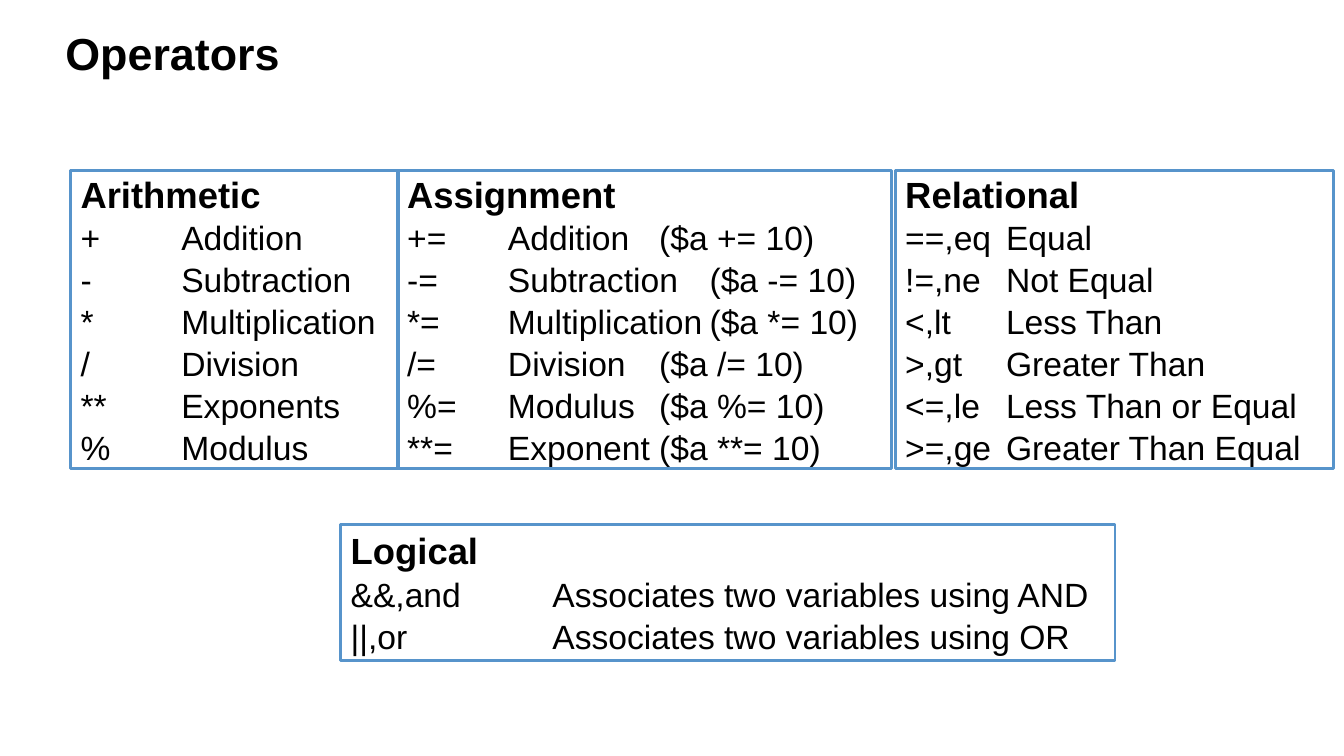
from dataclasses import dataclass

from lxml import etree
from pptx import Presentation, util as u
from pptx.dml import color
from pptx.enum import shapes, text
from pptx.oxml import ns

FONT = "Arial"
INK = "000000"
BORDER = "5794CB"
TITLE_SIZE, HEADING_SIZE, ITEM_SIZE = 32, 26, 24
TAB_STOPS = (1, 2)  # inches from the text edge

# Places and sizes are percentages of the slide's width and height
UPPER_TOP, UPPER_HEIGHT = 22.53, 39.47
UPPER_LEFT = 5.25


@dataclass
class Panel:
    heading: str
    items: list[str]
    left: float
    width: float
    top: float = UPPER_TOP
    height: float = UPPER_HEIGHT


presentation = Presentation()
presentation.slide_width = u.Inches(13.33)
presentation.slide_height = u.Inches(7.5)
slide = presentation.slides.add_slide(presentation.slide_layouts[6])


def rgb(value: str) -> color.RGBColor:
    return color.RGBColor.from_string(value)


def place(left: float, top: float, width: float, height: float) -> list[int]:
    across, down = presentation.slide_width, presentation.slide_height
    return [int(share * side / 100) for share, side in
            ((left, across), (top, down), (width, across), (height, down))]


def format_paragraph(paragraph, size: float, bold: bool) -> None:
    paragraph.alignment = text.PP_ALIGN.LEFT
    for run in paragraph.runs:
        run.font.name = FONT
        run.font.size = u.Pt(size)
        run.font.bold = bold
        run.font.color.rgb = rgb(INK)


def add_tab_stops(paragraph) -> None:
    properties = paragraph._p.get_or_add_pPr()
    tabs = etree.SubElement(properties, ns.qn("a:tabLst"))
    for stop in TAB_STOPS:
        etree.SubElement(tabs, ns.qn("a:tab"), pos=str(u.Inches(stop)), algn="l")


def add_panel(panel: Panel) -> None:
    box = slide.shapes.add_shape(
        shapes.MSO_SHAPE.RECTANGLE,
        *place(panel.left, panel.top, panel.width, panel.height))
    box.shadow.inherit = False
    box.fill.background()
    box.line.color.rgb = rgb(BORDER)
    box.line.width = u.Pt(2)
    frame = box.text_frame
    frame.word_wrap = True
    frame.vertical_anchor = text.MSO_ANCHOR.MIDDLE
    frame.text = "\n".join([panel.heading, *panel.items])
    heading, *items = frame.paragraphs
    format_paragraph(heading, HEADING_SIZE, True)
    for item in items:
        format_paragraph(item, ITEM_SIZE, False)
        item.space_before = u.Pt(1.2)
        add_tab_stops(item)


# Title
title = slide.shapes.add_textbox(*place(4.13, 2.8, 34.36, 8.53))
title.text_frame.word_wrap = True
title.text_frame.text = "Operators"
format_paragraph(title.text_frame.paragraphs[0], TITLE_SIZE, True)

# Upper row: three operator families side by side
arithmetic = Panel("Arithmetic", [
    "+\tAddition", "-\tSubtraction", "*\tMultiplication",
    "/\tDivision", "**\tExponents", "%\tModulus",
], UPPER_LEFT, 24.38)

assignments = {"+=": "Addition", "-=": "Subtraction", "*=": "Multiplication",
               "/=": "Division", "%=": "Modulus", "**=": "Exponent"}
assignment = Panel("Assignment", [
    f"{sign}\t{name}\t($a {sign} 10)" for sign, name in assignments.items()
], arithmetic.left + arithmetic.width - 0.07, 36.76)

relational = Panel("Relational", [
    "==,eq\tEqual", "!=,ne\tNot Equal", "<,lt\tLess Than",
    ">,gt\tGreater Than", "<=,le\tLess Than or Equal",
    ">=,ge\tGreater Than Equal",
], assignment.left + assignment.width + 0.3, 32.63)

# Lower row: logical operators
logical = Panel("Logical", [
    "&&,and\tAssociates two variables using AND",
    "||,or\t\tAssociates two variables using OR",
], 25.36, 57.61, 69.33, 18)

for panel in (arithmetic, assignment, relational, logical):
    add_panel(panel)

presentation.save("out.pptx")
